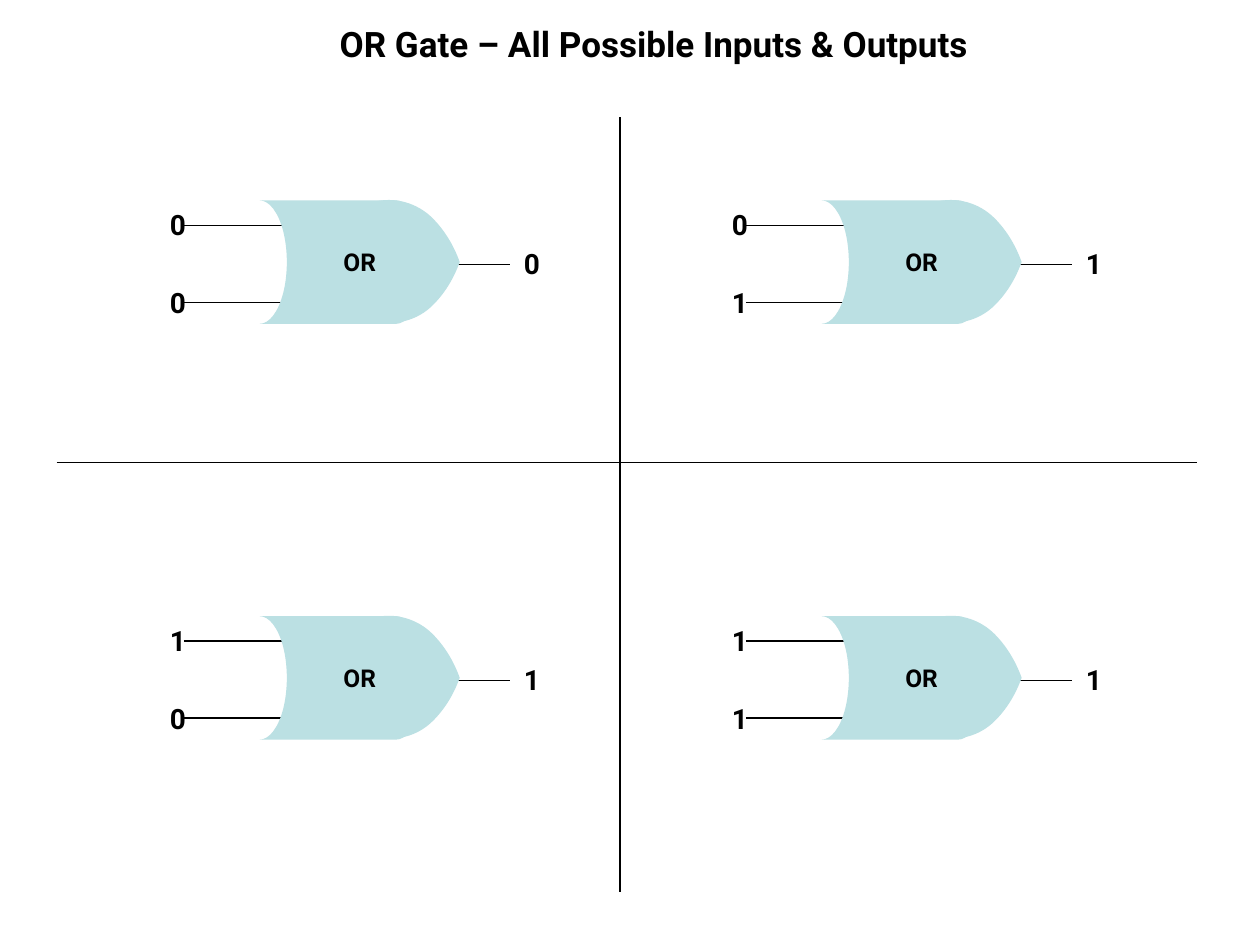
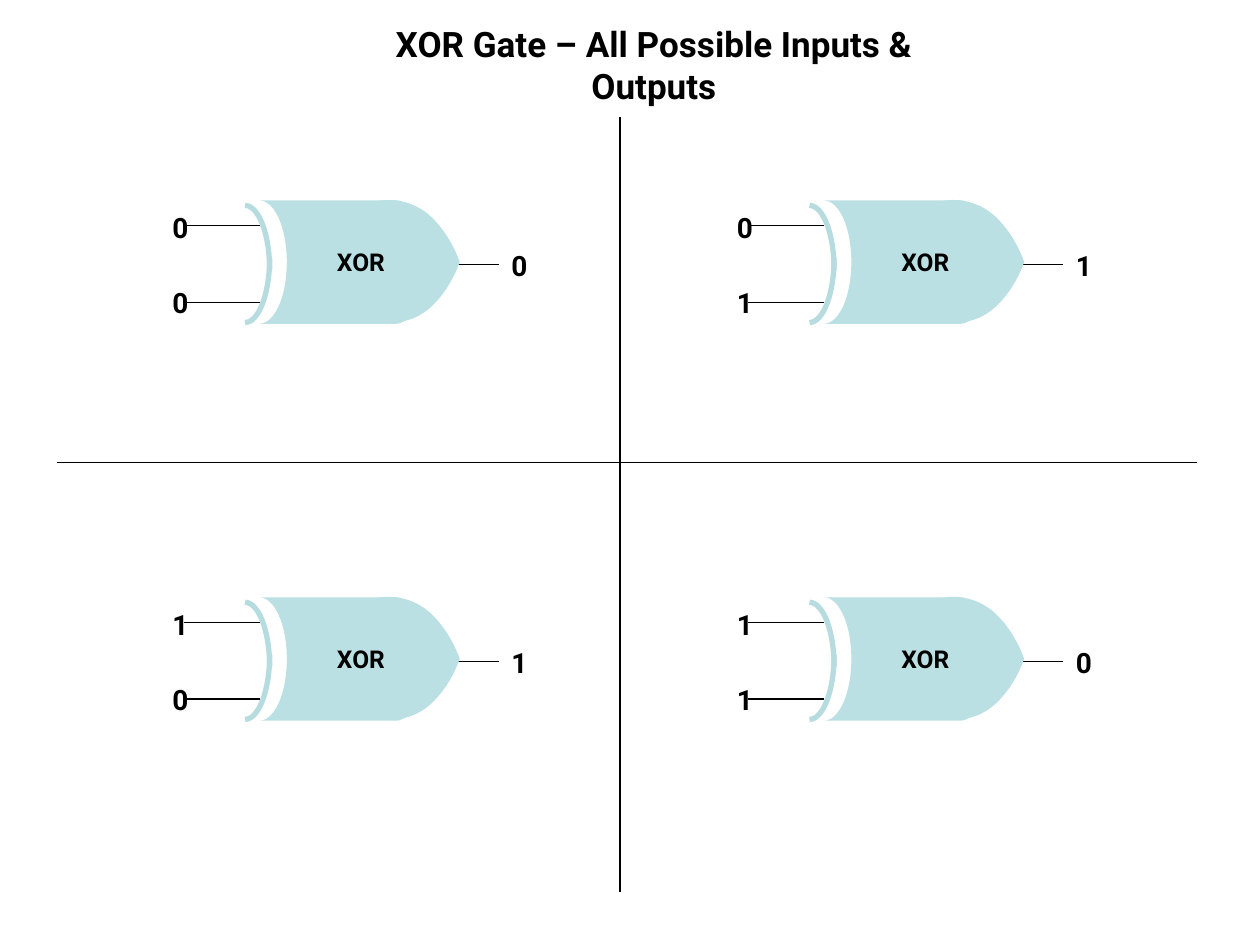
from dataclasses import dataclass

from lxml import etree
from pptx import Presentation
from pptx.dml.color import RGBColor
from pptx.enum.shapes import MSO_CONNECTOR, MSO_SHAPE
from pptx.enum.text import MSO_ANCHOR, MSO_AUTO_SIZE, PP_ALIGN
from pptx.oxml.ns import qn
from pptx.util import Pt

STRAIGHT = MSO_CONNECTOR.STRAIGHT
STORAGE = MSO_SHAPE.FLOWCHART_STORED_DATA
TEARDROP = MSO_SHAPE.TEAR
ARC = MSO_SHAPE.ARC
GROW, FIXED = MSO_AUTO_SIZE.SHAPE_TO_FIT_TEXT, MSO_AUTO_SIZE.NONE
TOP, CENTER = MSO_ANCHOR.TOP, PP_ALIGN.CENTER
PX = 9144  # EMU per px, 100 px to the inch


@dataclass(frozen=True)
class Theme:
    ink: RGBColor = RGBColor(0x00, 0x00, 0x00)
    paper: RGBColor = RGBColor(0xFF, 0xFF, 0xFF)
    gate: RGBColor = RGBColor(0xBB, 0xE0, 0xE3)
    rim: RGBColor = RGBColor(0xB6, 0xDC, 0xDF)
    font: str = "Roboto"
    title: int = 20
    digit: int = 16
    label: int = 14
    wire: int = 1
    rim_width: int = 3


theme = Theme()


def add_wire(shapes, x1, y1, x2, y2):
    wire = shapes.add_connector(STRAIGHT, x1 * PX, y1 * PX, x2 * PX, y2 * PX)
    wire.line.color.rgb = theme.ink
    wire.line.width = Pt(theme.wire)
    etree.SubElement(wire._element.spPr, qn("a:effectLst"))


def add_text(shapes, box, text, size, fit=FIXED):
    frame = shapes.add_textbox(*(v * PX for v in box)).text_frame
    for name, value in {"word_wrap": True, "auto_size": fit,
                        "vertical_anchor": TOP}.items():
        setattr(frame, name, value)
    paragraph = frame.paragraphs[0]
    paragraph.alignment = CENTER
    run = paragraph.add_run()
    run.text = text
    for name, value in {"name": theme.font, "size": Pt(size), "bold": True}.items():
        setattr(run.font, name, value)
    run.font.color.rgb = theme.ink


# Each gate: its rule, the pitch of its grid, and boxes for the top left cell
gates = [
    {"name": "OR", "rule": lambda a, b: a | b, "pitch": (446, 330),
     "input_end": 229, "output": (351, 405), "rims": [],
     "digits": [(125, 160, 21, 28), (125, 222, 21, 28), (406, 191, 21, 31)],
     "label": (249, 191, 73, 34)},
    {"name": "XOR", "rule": lambda a, b: a ^ b, "pitch": (448, 315),
     "input_end": 206, "output": (359, 396), "rims": [(163, False), (154, True)],
     "digits": [(127, 162, 21, 28), (127, 222, 21, 27), (396, 192, 23, 29)],
     "label": (240, 191, 93, 34)},
]

deck = Presentation()
deck.slide_width, deck.slide_height = 1000 * PX, 750 * PX

for gate in gates:
    slide = deck.slides.add_slide(deck.slide_layouts[6])
    slide.background.fill.solid()
    slide.background.fill.fore_color.rgb = theme.paper

    # Title and the cross that divides the four cases
    add_text(slide.shapes, (254, 13, 530, 44),
             f"{gate['name']} Gate – All Possible Inputs & Outputs", theme.title, GROW)
    add_wire(slide.shapes, 45, 367, 950, 367)
    add_wire(slide.shapes, 492, 93, 492, 708)

    # One case per cell: the row is the first input, the column the second
    for first, second in [(0, 0), (0, 1), (1, 0), (1, 1)]:
        dx, dy = second * gate["pitch"][0], first * gate["pitch"][1]
        case = slide.shapes.add_group_shape().shapes

        # Wires
        for y in (179, 240):
            add_wire(case, 146 + dx, y + dy, gate["input_end"] + dx, y + dy)
        start, end = gate["output"]
        add_wire(case, start + dx, 210 + dy, end + dx, 210 + dy)

        # Gate body
        for preset, (x, y, w, h), turn in [(STORAGE, (206, 159, 130, 98), 180),
                                           (TEARDROP, (260, 159, 98, 97), 45.2)]:
            body = case.add_shape(preset, (x + dx) * PX, (y + dy) * PX, w * PX, h * PX)
            body.rotation = turn
            body.shadow.inherit = False
            body.fill.solid()
            body.fill.fore_color.rgb = theme.gate
            body.line.fill.background()
            if preset == TEARDROP:
                body.adjustments[0] = 0.81

        # Second curve in front of the XOR inputs
        for y, flipped in gate["rims"]:
            rim = case.add_shape(ARC, (175 + dx) * PX, (y + dy) * PX, 39 * PX, 102 * PX)
            rim.shadow.inherit = False
            rim.fill.background()
            rim.line.color.rgb = theme.rim
            rim.line.width = Pt(theme.rim_width)
            if flipped:
                rim._element.spPr.find(qn("a:xfrm")).set("flipV", "1")

        # Inputs, output and gate name
        values = (first, second, gate["rule"](first, second))
        for (x, y, w, h), value in zip(gate["digits"], values):
            add_text(case, (x + dx, y + dy, w, h), str(value), theme.digit)
        x, y, w, h = gate["label"]
        add_text(case, (x + dx, y + dy, w, h), gate["name"], theme.label, GROW)

deck.save("out.pptx")
